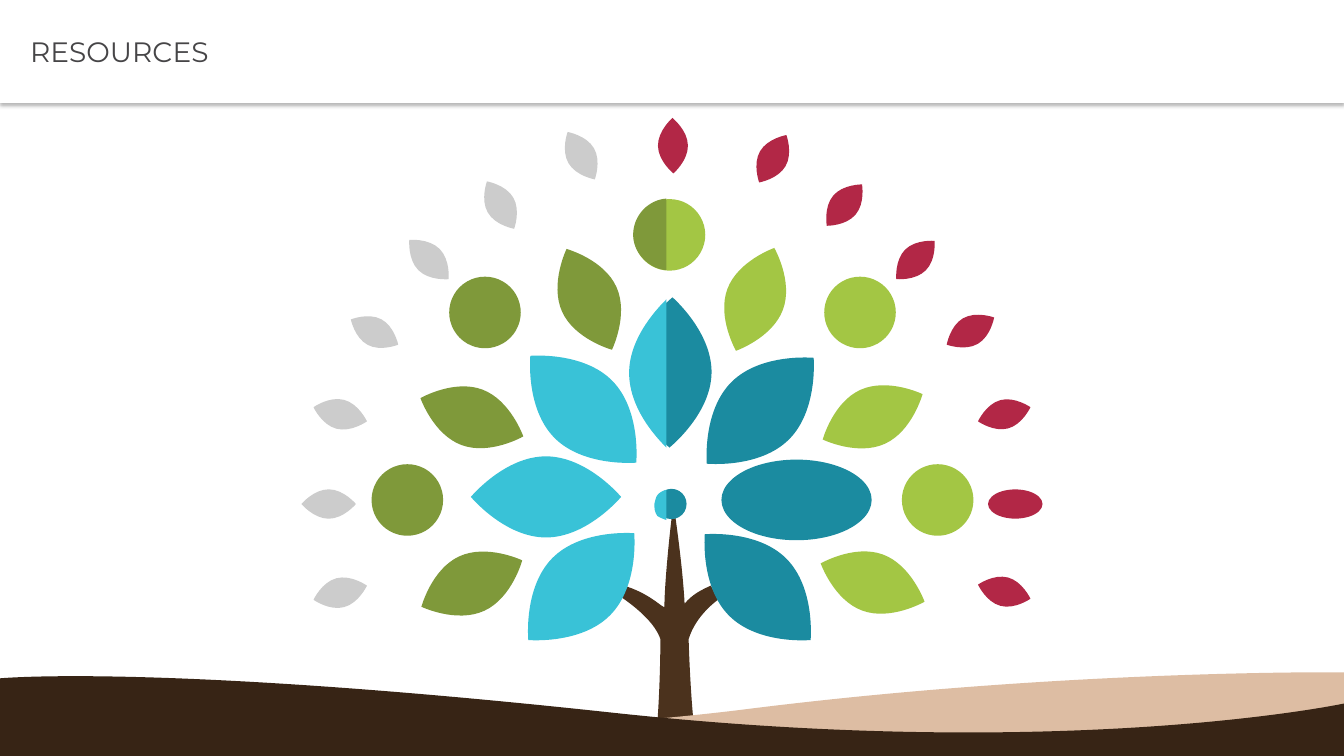
"""Build the Resources slide: a stylised tree of leaves and circles on rolling ground."""
import lxml.etree
import pptx
import pptx.dml.color
import pptx.enum.shapes
import pptx.enum.text
import pptx.oxml.ns
import pptx.util

RGB = pptx.dml.color.RGBColor
TRUNK = RGB(0x4B, 0x32, 0x1D)
TEAL = RGB(0x1B, 0x8B, 0xA0)
SKY = RGB(0x39, 0xC2, 0xD7)
LIME = RGB(0xA3, 0xC6, 0x44)
OLIVE = RGB(0x7F, 0x99, 0x3A)
CRIMSON = RGB(0xB2, 0x27, 0x46)
SILVER = RGB(0xCC, 0xCC, 0xCC)
SAND = RGB(0xDD, 0xBD, 0xA3)
SOIL = RGB(0x37, 0x24, 0x15)
WHITE = RGB(0xFF, 0xFF, 0xFF)
INK = RGB(0x46, 0x45, 0x47)

GRID = pptx.util.Cm(2.54)
WIDTH, HEIGHT = 13.33, 7.5
LEAF_RATIO = 0.54
LEAF_BEND = 0.55
qn = pptx.oxml.ns.qn

deck = pptx.Presentation()
deck.slide_width = int(GRID * WIDTH)
deck.slide_height = int(GRID * HEIGHT)
page = deck.slides.add_slide(deck.slide_layouts[6])


def trace(color, start, *pieces):
    """Draw a closed outline; a piece is a line end (2 numbers) or a cubic curve (6 numbers)."""
    places = [(round(GRID * x), round(GRID * y))
              for piece in (start, *pieces) for x, y in zip(piece[::2], piece[1::2])]
    builder = page.shapes.build_freeform(*places[0], scale=1.0)
    builder.add_line_segments(places[1:], close=True)
    outline = builder.convert_to_shape()
    segments = iter(list(outline.element.iter(qn("a:lnTo"))))
    for piece in pieces:
        curve = next(segments)
        if len(piece) == 6:
            curve.tag = qn("a:cubicBezTo")
            for segment in (next(segments), next(segments)):
                curve.append(segment[0])
                segment.getparent().remove(segment)
    outline.shadow.inherit = False
    outline.fill.solid()
    outline.fill.fore_color.rgb = color
    outline.line.fill.background()


def write_text(shape, text, *, font, size, color, align, anchor, left):
    """Put one formatted line of text into a shape."""
    frame = shape.text_frame
    frame.word_wrap = True
    frame.vertical_anchor = anchor
    frame.margin_left = left
    para = frame.paragraphs[0]
    para.alignment = align
    span = para.add_run()
    span.text = text
    span.font.name = font
    span.font.size = size
    span.font.color.rgb = color


trace(TRUNK, (6.79, 5.99),
      (6.79, 5.99, 6.78, 5.71, 6.7, 5.14), (6.66, 5.15),
      (6.63, 5.4, 6.59, 5.83, 6.59, 6.02), (6.58, 6.04, 6.46, 5.9, 6.22, 5.82),
      (6.17, 5.93), (6.33, 6.04, 6.5, 6.19, 6.55, 6.34),
      (6.55, 6.34, 6.55, 7.27, 6.45, 7.71), (6.45, 7.71, 6.78, 7.62, 6.99, 7.73),
      (6.86, 7.52, 6.83, 6.34, 6.83, 6.34), (6.88, 6.18, 6.99, 6.05, 7.12, 5.95),
      (7.05, 5.81), (6.96, 5.85, 6.86, 5.9, 6.79, 5.99))

leaves = {
    TEAL: [(6.67, 2.95, 6.64, 4.44), (7.01, 4.6, 8.07, 3.55), (6.99, 5.3, 8.04, 6.35)],
    SKY: [(5.26, 3.53, 6.31, 4.59), (4.67, 4.93, 6.16, 4.93), (6.29, 5.29, 5.24, 6.35)],
    LIME: [(7.3, 3.48, 7.68, 2.46), (8.16, 4.36, 9.15, 3.91), (8.14, 5.59, 9.17, 5.97)],
    OLIVE: [(5.62, 2.47, 6.07, 3.47), (4.17, 3.95, 5.19, 4.33), (4.18, 6.02, 5.18, 5.56)],
    CRIMSON: [(6.67, 1.17, 6.68, 1.72), (7.8, 1.34, 7.53, 1.81), (8.55, 1.83, 8.2, 2.24),
              (9.27, 2.39, 8.89, 2.77), (9.86, 3.15, 9.39, 3.42), (9.7, 4.18, 10.22, 4.04),
              (9.7, 5.8, 10.22, 5.94)],
    SILVER: [(5.63, 1.31, 5.9, 1.78), (4.83, 1.8, 5.1, 2.27), (4.06, 2.38, 4.45, 2.77),
             (3.48, 3.17, 3.95, 3.42), (3.11, 4.04, 3.64, 4.18), (2.99, 5, 3.53, 5),
             (3.11, 5.95, 3.64, 5.81)],
}
for color, tips in leaves.items():
    for x1, y1, x2, y2 in tips:
        half_x, half_y = (x2 - x1) / 2, (y2 - y1) / 2
        sides = []
        for side in (1, -1):
            mid_x = x1 + half_x - side * LEAF_RATIO * half_y
            mid_y = y1 + half_y + side * LEAF_RATIO * half_x
            bend_x, bend_y = side * LEAF_BEND * half_x, side * LEAF_BEND * half_y
            near, far = ((x1, y1), (x2, y2))[::side]
            sides.append((*near, mid_x - bend_x, mid_y - bend_y, mid_x, mid_y))
            sides.append((mid_x + bend_x, mid_y + bend_y, *far, *far))
        trace(color, (x1, y1), *sides)

ovals = [
    (TEAL, 7.9, 4.96, 1.49, 0.8), (CRIMSON, 10.07, 5, 0.54, 0.29),
    (LIME, 6.64, 2.33, 0.71, 0.71), (LIME, 8.53, 3.1, 0.71, 0.71),
    (LIME, 9.3, 4.96, 0.71, 0.71), (OLIVE, 4.81, 3.1, 0.71, 0.71),
    (OLIVE, 4.04, 4.96, 0.71, 0.71), (TEAL, 6.66, 5, 0.3, 0.3),
]
for color, center_x, center_y, width, height in ovals:
    oval = page.shapes.add_shape(
        pptx.enum.shapes.MSO_SHAPE.OVAL,
        int(GRID * (center_x - width / 2)), int(GRID * (center_y - height / 2)),
        int(GRID * width), int(GRID * height))
    oval.shadow.inherit = False
    oval.fill.solid()
    oval.fill.fore_color.rgb = color
    oval.line.fill.background()

trace(SKY, (6.61, 2.97), (6.54, 3.04, 6.24, 3.34, 6.24, 3.7),
      (6.24, 4.07, 6.54, 4.37, 6.61, 4.44))
trace(OLIVE, (6.61, 1.97), (6.44, 1.98, 6.28, 2.13, 6.28, 2.33),
      (6.28, 2.51, 6.44, 2.67, 6.61, 2.68))
trace(SKY, (6.61, 4.86), (6.61, 4.86, 6.56, 4.87, 6.53, 4.9),
      (6.5, 4.93, 6.5, 4.97, 6.49, 5), (6.49, 5.04, 6.49, 5.08, 6.52, 5.12),
      (6.55, 5.14, 6.61, 5.16, 6.61, 5.16))

trace(SAND, (WIDTH, 6.67), (WIDTH, 6.67, 10.57, 6.64, 7.45, 7.03),
      (4.32, 7.43, 0, 7.25, 0, 7.25), (0, HEIGHT), (WIDTH, HEIGHT))
trace(SOIL, (0, 6.73), (0, 6.73, 1.54, 6.58, 6.07, 7.07),
      (10.6, 7.56, WIDTH, 6.98, WIDTH, 6.98), (WIDTH, HEIGHT), (0, HEIGHT))

banner = page.shapes.add_shape(
    pptx.enum.shapes.MSO_SHAPE.RECTANGLE, 0, 0, deck.slide_width, int(GRID * 1.02))
banner.shadow.inherit = False
banner.fill.solid()
banner.fill.fore_color.rgb = WHITE
banner.line.fill.background()
effects = banner.element.spPr.find(qn("a:effectLst"))
shadow = lxml.etree.SubElement(
    effects, qn("a:outerShdw"), blurRad=str(int(pptx.util.Pt(3.1))),
    dist=str(int(pptx.util.Pt(2))), dir="5400000", algn="t", rotWithShape="0")
shade = lxml.etree.SubElement(shadow, qn("a:srgbClr"), val="000000")
lxml.etree.SubElement(shade, qn("a:alpha"), val="30000")
write_text(banner, "RESOURCES", font="Montserrat", size=pptx.util.Pt(20), color=INK,
           align=pptx.enum.text.PP_ALIGN.LEFT, anchor=pptx.enum.text.MSO_ANCHOR.MIDDLE,
           left=pptx.util.Cm(0.76))

deck.save("out.pptx")
